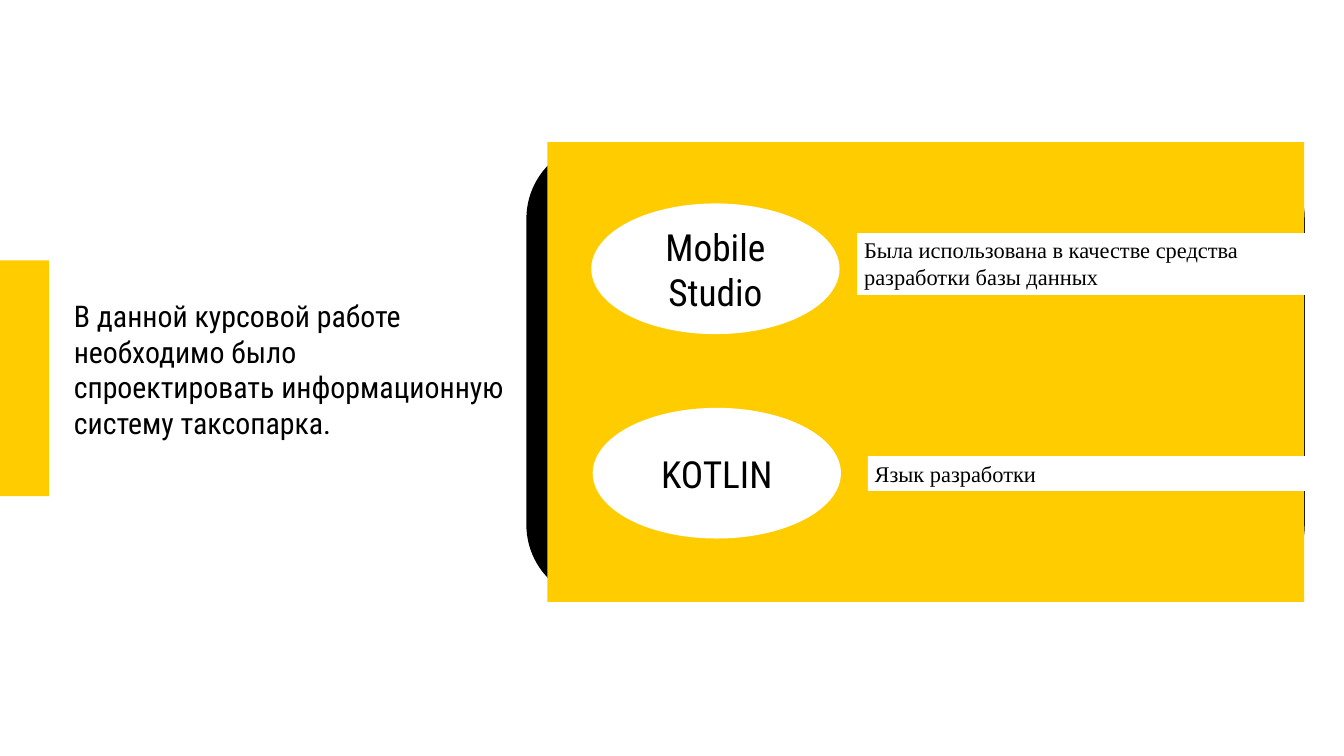
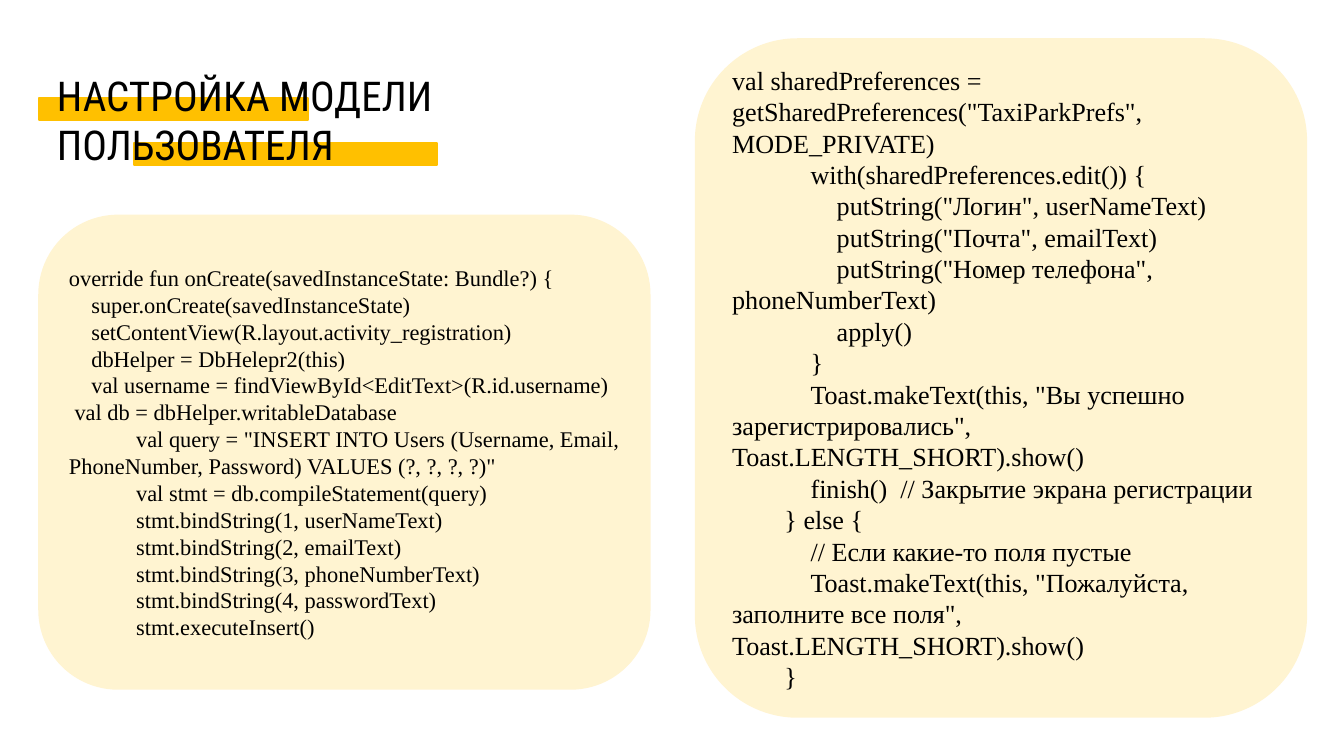
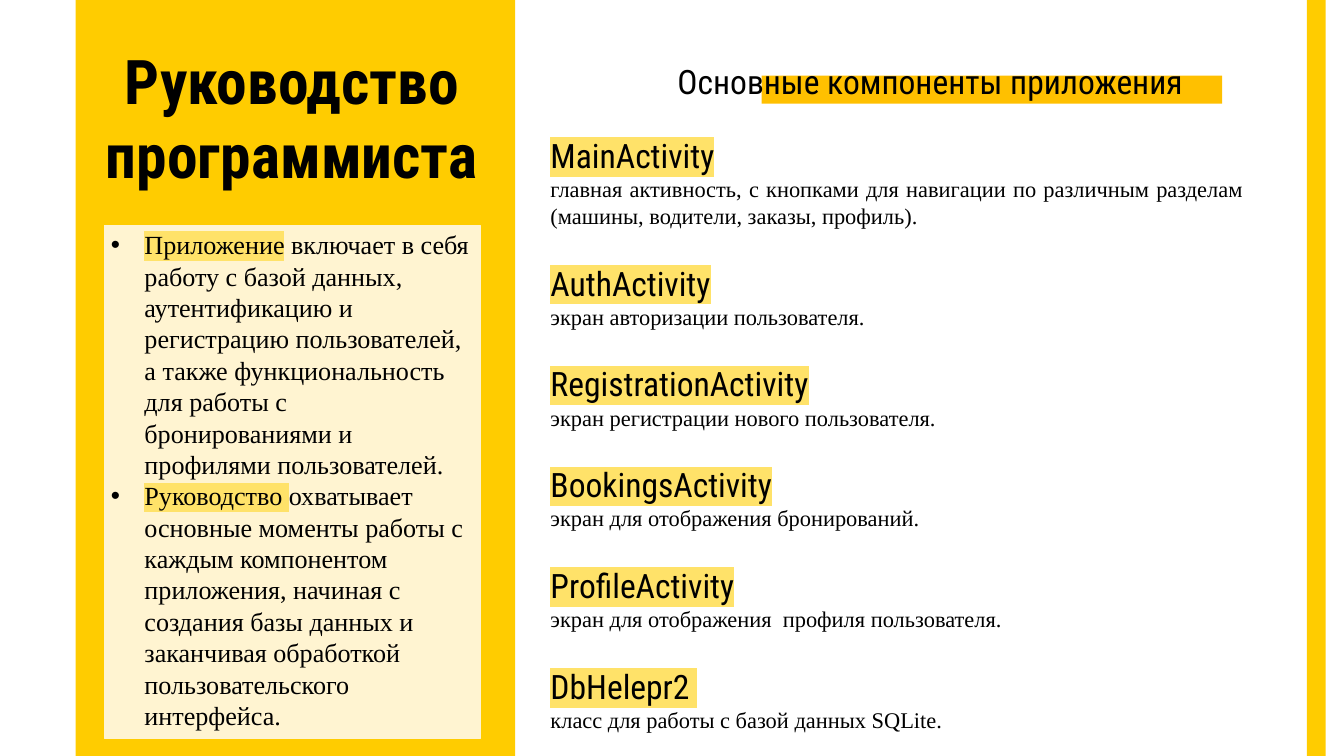
from pptx import Presentation
from pptx.dml.color import RGBColor
from pptx.enum.shapes import MSO_SHAPE as SHAPE
from pptx.enum.text import MSO_ANCHOR as ANCHOR, PP_ALIGN as ALIGN
from pptx.oxml.ns import qn
from pptx.util import Pt
from lxml.etree import SubElement, Element

PX = 9525  # EMU per px, 96 px to the inch

BLACK = RGBColor(0x00, 0x00, 0x00)
WHITE = RGBColor(0xFF, 0xFF, 0xFF)
YELLOW = RGBColor(0xFF, 0xCC, 0x00)
AMBER = RGBColor(0xFF, 0xC0, 0x00)
CREAM = RGBColor(0xFF, 0xF4, 0xD1)
MARKER = RGBColor(0xFF, 0xE2, 0x69)

DISPLAY = "Roboto Condensed"
BODY = "Times New Roman"

TOOLS = [
    ("Mobile Studio", (846, 292), (1225, 333, 648, 87),
     "Была использована в качестве средства разработки базы данных"),
    ("KOTLIN", (848, 584), (1240, 652, 631, 48), "Язык разработки"),
]

# Code lines: indent in characters, text
CREATE_CODE = [
    (0, "override fun onCreate(savedInstanceState: Bundle?) {"),
    (4, "super.onCreate(savedInstanceState)"),
    (4, "setContentView(R.layout.activity_registration)"),
    (4, "dbHelper = DbHelepr2(this)"),
    (4, "val username = findViewById<EditText>(R.id.username)"),
    (1, "val db = dbHelper.writableDatabase"),
    (12, 'val query = "INSERT INTO Users (Username, Email, PhoneNumber, '
         'Password) VALUES (?, ?, ?, ?)"'),
    (12, "val stmt = db.compileStatement(query)"),
    (12, "stmt.bindString(1, userNameText)"),
    (12, "stmt.bindString(2, emailText)"),
    (12, "stmt.bindString(3, phoneNumberText)"),
    (12, "stmt.bindString(4, passwordText)"),
    (12, "stmt.executeInsert()"),
]
PREFS_CODE = [
    (0, 'val sharedPreferences = getSharedPreferences("TaxiParkPrefs", '
        'MODE_PRIVATE)'),
    (12, "with(sharedPreferences.edit()) {"),
    (16, 'putString("Логин", userNameText)'),
    (16, 'putString("Почта", emailText)'),
    (16, 'putString("Номер телефона", phoneNumberText)'),
    (16, "apply()"),
    (12, "}"),
    (12, 'Toast.makeText(this, "Вы успешно зарегистрировались", '
         'Toast.LENGTH_SHORT).show()'),
    (12, "finish()  // Закрытие экрана регистрации"),
    (8, "} else {"),
    (12, "// Если какие-то поля пустые"),
    (12, 'Toast.makeText(this, "Пожалуйста, заполните все поля", '
         'Toast.LENGTH_SHORT).show()'),
    (8, "}"),
]

COMPONENTS = [
    ("MainActivity", "главная активность, с кнопками для навигации по "
     "различным разделам (машины, водители, заказы, профиль)."),
    ("AuthActivity", "экран авторизации пользователя."),
    ("RegistrationActivity", "экран регистрации нового пользователя."),
    ("BookingsActivity", "экран для отображения бронирований."),
    ("ProfileActivity", "экран для отображения  профиля пользователя."),
    ("DbHelepr2 ", "класс для работы с базой данных SQLite."),
]
GUIDE = [
    ("Приложение", " включает в себя работу с базой данных, аутентификацию и "
     "регистрацию пользователей, а также функциональность для работы с "
     "бронированиями и профилями пользователей."),
    ("Руководство ", "охватывает основные моменты работы с каждым компонентом "
     "приложения, начиная с создания базы данных и заканчивая обработкой "
     "пользовательского интерфейса."),
]


# Basic elements
def add_block(s, kind, box, fill, line_pt=0, anchor=ANCHOR.TOP):
    sp = s.shapes.add_shape(kind, *(v * PX for v in box))
    sp.shadow.inherit = False
    sp.fill.solid()
    sp.fill.fore_color.rgb = fill
    if line_pt:
        sp.line.color.rgb = fill
        sp.line.width = Pt(line_pt)
    else:
        sp.line.fill.background()
    sp.text_frame.word_wrap = True
    sp.text_frame.vertical_anchor = anchor
    return sp


def add_text_box(s, box):
    tf = s.shapes.add_textbox(*(v * PX for v in box)).text_frame
    tf.word_wrap = True
    return tf


def add_paragraph(tf, align=ALIGN.LEFT):
    first = tf.paragraphs[0]
    p = tf.add_paragraph() if first.runs else first
    p.alignment = align
    return p


def add_run(p, text, size, font=BODY, bold=False, marked=False):
    r = p.add_run()
    r.text = text
    r.font.size = Pt(size)
    r.font.name = font
    r.font.bold = bold
    r.font.color.rgb = BLACK
    if marked:
        highlight = Element(qn("a:highlight"))
        SubElement(highlight, qn("a:srgbClr"), val=str(MARKER))
        r.font._element.find(qn("a:solidFill")).addnext(highlight)


def set_indent(p, left, first):
    pPr = p._p.get_or_add_pPr()
    pPr.set("marL", str(int(left)))
    pPr.set("indent", str(int(first)))
    return pPr


# Elements of these slides
def add_tool(s, name, oval_at, label_box, note):
    oval = add_block(s, SHAPE.OVAL, (*oval_at, 352, 184), WHITE, 2,
                     ANCHOR.MIDDLE)
    add_run(add_paragraph(oval.text_frame, ALIGN.CENTER), name, 40, DISPLAY)
    label = add_block(s, SHAPE.RECTANGLE, label_box, WHITE, 0.75)
    add_run(add_paragraph(label.text_frame), note, 24)


def add_code_card(s, box, lines, size):
    card = add_block(s, SHAPE.ROUNDED_RECTANGLE, box, CREAM, 2, ANCHOR.MIDDLE)
    for indent, text in lines:
        p = add_paragraph(card.text_frame)
        set_indent(p, 0, Pt(indent * size / 4))  # a space is a quarter em
        add_run(p, text, size)


def add_bullet(tf, lead, rest):
    p = add_paragraph(tf)
    pPr = set_indent(p, 48 * PX, -48 * PX)
    SubElement(pPr, qn("a:buFont"), typeface="Arial")
    SubElement(pPr, qn("a:buChar"), char="•")
    add_run(p, lead, 28, marked=True)
    add_run(p, rest, 28)


def add_component(tf, name, note):
    p = add_paragraph(tf, ALIGN.JUSTIFY)
    p.space_before = Pt(36)
    add_run(p, name, 36, DISPLAY, marked=True)
    add_run(add_paragraph(tf, ALIGN.JUSTIFY), note, 24)


# Slides
def build_tools_slide(s):
    add_block(s, SHAPE.ROUNDED_RECTANGLE, (752, 203, 1112, 656), BLACK)
    add_block(s, SHAPE.RECTANGLE, (782, 203, 1081, 657), YELLOW)
    add_block(s, SHAPE.RECTANGLE, (-14, 372, 84, 337), YELLOW)
    p = add_paragraph(add_text_box(s, (96, 420, 672, 217)))
    add_run(p, "В данной курсовой работе необходимо было ", 32, DISPLAY)
    p.add_line_break()
    add_run(p, "спроектировать информационную систему таксопарка.", 32,
            DISPLAY)
    for tool in TOOLS:
        add_tool(s, *tool)


def build_code_slide(s):
    for underline in ((56, 140, 384, 32), (192, 204, 432, 32)):
        add_block(s, SHAPE.RECTANGLE, underline, AMBER, 2)
    title = add_text_box(s, (72, 96, 768, 152))
    add_run(add_paragraph(title), "НАСТРОЙКА МОДЕЛИ ПОЛЬЗОВАТЕЛЯ", 44, DISPLAY)
    add_code_card(s, (56, 308, 872, 676), CREATE_CODE, 24)
    add_code_card(s, (994, 56, 872, 968), PREFS_CODE, 28)


def build_guide_slide(s):
    for left, width in ((108, 628), (1867, 27)):
        add_block(s, SHAPE.RECTANGLE, (left, -26, width, 1132), YELLOW)

    # Title on the yellow band
    tf = add_text_box(s, (129, 60, 576, 210))
    tf.margin_left = tf.margin_top = tf.margin_right = tf.margin_bottom = 0
    p = add_paragraph(tf, ALIGN.CENTER)
    p.line_spacing = Pt(80)
    add_run(p, "Руководство программиста", 66, DISPLAY, bold=True)

    # Component list
    add_block(s, SHAPE.RECTANGLE, (1088, 108, 658, 40), AMBER)
    tf = add_text_box(s, (777, 32, 1008, 998))
    tf.margin_top = 55 * PX
    p = add_paragraph(tf, ALIGN.CENTER)
    set_indent(p, 96 * PX, 0)
    add_run(p, "Основные компоненты приложения", 36, DISPLAY)
    for name, note in COMPONENTS:
        add_component(tf, name, note)

    # Summary card
    card = add_block(s, SHAPE.RECTANGLE, (149, 322, 537, 733), CREAM, 0.75)
    for lead, rest in GUIDE:
        add_bullet(card.text_frame, lead, rest)


def main():
    prs = Presentation()
    prs.slide_width, prs.slide_height = 1920 * PX, 1080 * PX
    for build in (build_tools_slide, build_code_slide, build_guide_slide):
        build(prs.slides.add_slide(prs.slide_layouts[6]))
    prs.save("out.pptx")


if __name__ == "__main__":
    main()
